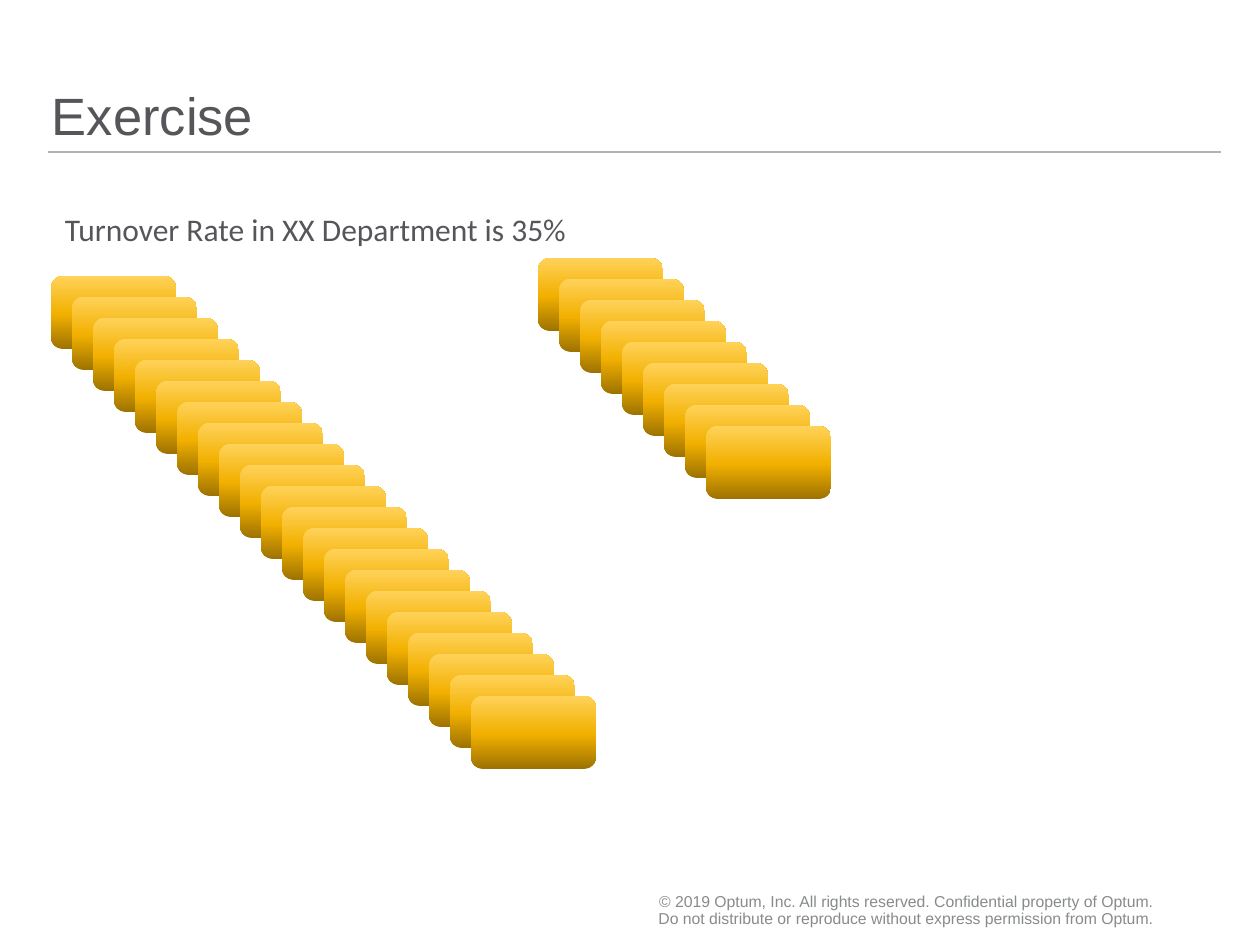
"""Build the turnover exercise slide with two stacks of cards."""
from copy import deepcopy
from dataclasses import dataclass

from lxml.etree import SubElement
from pptx import Presentation
from pptx.dml.color import RGBColor
from pptx.enum.shapes import MSO_CONNECTOR, MSO_SHAPE
from pptx.enum.text import MSO_ANCHOR, PP_ALIGN
from pptx.oxml.ns import qn
from pptx.util import Pt

SCALE = 914400 / 126


def px(size):
    return round(size * SCALE)


@dataclass(frozen=True)
class Theme:
    ink: str = "55565A"
    faint: str = "888B8D"
    rule: str = "B1B3B3"
    gold: tuple = ((0, "9D7200"), (0.48, "F2B000"), (1, "FFD259"))
    head: int = 30
    body: int = 18
    foot: int = 9
    sans: str = "Arial"
    text: str = "Calibri"


class Pen:
    def __init__(self, slide, theme):
        self.slide = slide
        self.theme = theme

    def line(self, left, right, top):
        rule = self.slide.shapes.add_connector(
            MSO_CONNECTOR.STRAIGHT, px(left), px(top), px(right), px(top))
        rule.line.color.rgb = RGBColor.from_string(self.theme.rule)
        rule.line.width = Pt(1)
        SubElement(rule._element.spPr, qn("a:effectLst"))

    def label(self, words, box, size, font, color, inset=(0, 0),
              anchor=MSO_ANCHOR.BOTTOM, align=PP_ALIGN.LEFT, lead=0.9):
        frame = self.slide.shapes.add_textbox(*map(px, box)).text_frame
        frame.word_wrap = True
        frame.vertical_anchor = anchor
        frame.margin_left = frame.margin_right = px(inset[0])
        frame.margin_top = frame.margin_bottom = px(inset[1])
        para = frame.paragraphs[0]
        para.alignment = align
        para.line_spacing = lead
        run = para.add_run()
        run.text = words
        run.font.size = Pt(size)
        run.font.name = font
        run.font.color.rgb = RGBColor.from_string(color)

    def card(self, left, top, width=125, height=73):
        card = self.slide.shapes.add_shape(
            MSO_SHAPE.ROUNDED_RECTANGLE, *map(px, (left, top, width, height)))
        card.shadow.inherit = False
        card.line.fill.background()
        card.fill.gradient()
        card.fill.gradient_angle = 90
        stops = card._element.spPr.find(".//" + qn("a:gsLst"))
        stops.append(deepcopy(stops[0]))
        for stop, (place, color) in zip(card.fill.gradient_stops, self.theme.gold):
            stop.position = place
            stop.color.rgb = RGBColor.from_string(color)

    def stack(self, left, top, count, step=21):
        for index in range(count):
            self.card(left + index * step, top + index * step)


def main():
    deck = Presentation()
    deck.slide_width, deck.slide_height = px(1260), px(945)
    theme = Theme()
    pen = Pen(deck.slides.add_slide(deck.slide_layouts[6]), theme)

    pen.line(48, 1221, 152)
    pen.label("Exercise", (52, 0, 1169, 147), theme.head, theme.sans, theme.ink)
    pen.label("© 2019 Optum, Inc. All rights reserved. Confidential property of Optum. "
              "Do not distribute or reproduce without express permission from Optum.",
              (650, 878, 503, 50), theme.foot, theme.sans, theme.faint,
              align=PP_ALIGN.RIGHT)
    pen.label("Turnover Rate in XX Department is 35%", (52, 204, 893, 89),
              theme.body, theme.text, theme.ink, inset=(13, 6),
              anchor=MSO_ANCHOR.TOP, lead=1.0)
    pen.stack(51, 276, 21)
    pen.stack(538, 258, 9)

    deck.save("out.pptx")


if __name__ == "__main__":
    main()
